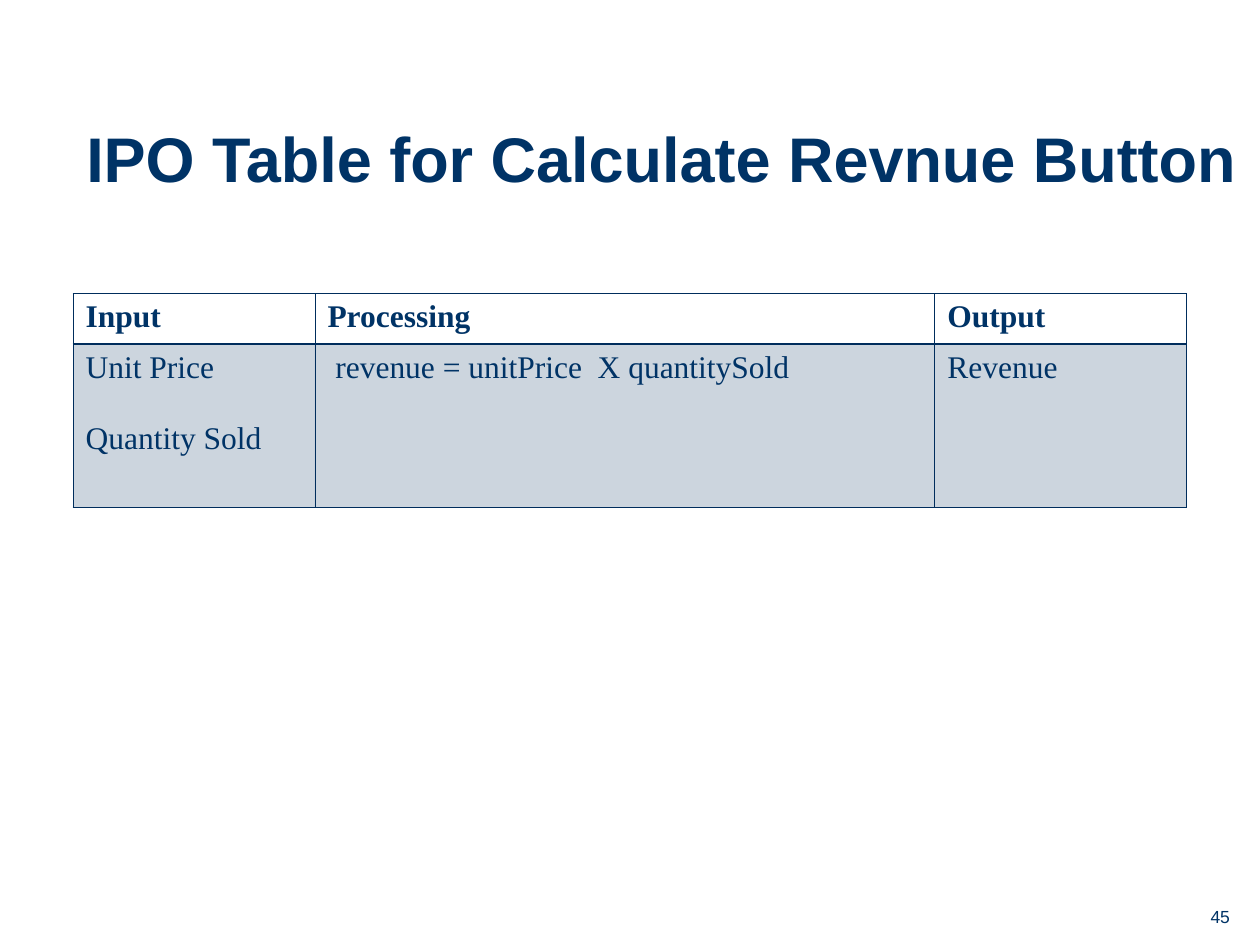
from lxml import etree
from pptx import Presentation
from pptx.dml.color import RGBColor
from pptx.enum import text
from pptx.oxml import ns
from pptx.util import Inches, Pt

TITLE = "IPO Table for Calculate Revnue Button"
PAGE_NUMBER = "45"
ROWS = [
    [["Input"], ["Processing"], ["Output"]],
    [["Unit Price", "Quantity Sold"], [" revenue = unitPrice  X quantitySold"], ["Revenue"]],
]
COLUMN_WIDTHS = [1.92, 4.92, 2]
ROW_HEIGHTS = [0.4, 1.3]
NAVY = RGBColor(0x00, 0x33, 0x66)
ACCENT = RGBColor(0x00, 0x2D, 0x5C)
THIN, THICK = 0.45, 0.96
TINT = 20


def write(frame, lines, size, font="Arial", bold=False, align=text.PP_ALIGN.LEFT,
          anchor=text.MSO_ANCHOR.TOP, spacing=None, gap=0):
    frame.word_wrap = True
    frame.vertical_anchor = anchor
    for index, line in enumerate(lines):
        para = frame.add_paragraph() if index else frame.paragraphs[0]
        para.alignment = align
        para.line_spacing = spacing
        para.space_before = Pt(gap if index else 0)
        span = para.add_run()
        span.text = line
        span.font.name, span.font.size, span.font.bold = font, Pt(size), bold
        span.font.color.rgb = NAVY


def outline(cell, top, bottom):
    props = cell._tc.get_or_add_tcPr()
    sides = {"lnL": THIN, "lnR": THIN, "lnT": top, "lnB": bottom}
    for position, (side, width) in enumerate(sides.items()):
        line = etree.Element(ns.qn(f"a:{side}"), w=str(Pt(width)))
        fill = etree.SubElement(line, ns.qn("a:solidFill"))
        etree.SubElement(fill, ns.qn("a:srgbClr"), val=str(ACCENT))
        props.insert(position, line)


def shade(cell):
    cell.fill.solid()
    cell.fill.fore_color.rgb = ACCENT
    colour = cell._tc.tcPr.find(".//" + ns.qn("a:srgbClr"))
    etree.SubElement(colour, ns.qn("a:alpha"), val=str(TINT * 1000))


def add_ipo_table(page):
    frame = page.shapes.add_table(
        len(ROWS), len(COLUMN_WIDTHS), Inches(0.58), Inches(2.33),
        Inches(sum(COLUMN_WIDTHS)), Inches(sum(ROW_HEIGHTS)))
    table = frame.table
    table.horz_banding = False
    for column, width in zip(table.columns, COLUMN_WIDTHS):
        column.width = Inches(width)
    for number, (row, height) in enumerate(zip(table.rows, ROW_HEIGHTS)):
        row.height = Inches(height)
        header = number == 0
        for cell, lines in zip(row.cells, ROWS[number]):
            write(cell.text_frame, lines, 18, font="Times New Roman", bold=header, gap=20.7)
            if header:
                cell.fill.background()
                outline(cell, THIN, THICK)
            else:
                shade(cell)
                outline(cell, THICK, THIN)


def main():
    deck = Presentation()
    deck.slide_width, deck.slide_height = Inches(10), Inches(7.5)
    page = deck.slides.add_slide(deck.slide_layouts[5])
    title = page.shapes.title
    title.left, title.top = Inches(0.5), Inches(0.67)
    title.width, title.height = Inches(9.5), Inches(1.25)
    write(title.text_frame, [TITLE], 36, bold=True, align=text.PP_ALIGN.CENTER,
          anchor=text.MSO_ANCHOR.MIDDLE, spacing=0.85)
    add_ipo_table(page)
    box = page.shapes.add_textbox(Inches(9.46), Inches(7.01), Inches(0.4), Inches(0.4))
    write(box.text_frame, [PAGE_NUMBER], 10, align=text.PP_ALIGN.RIGHT,
          anchor=text.MSO_ANCHOR.BOTTOM)
    deck.save("out.pptx")


if __name__ == "__main__":
    main()
